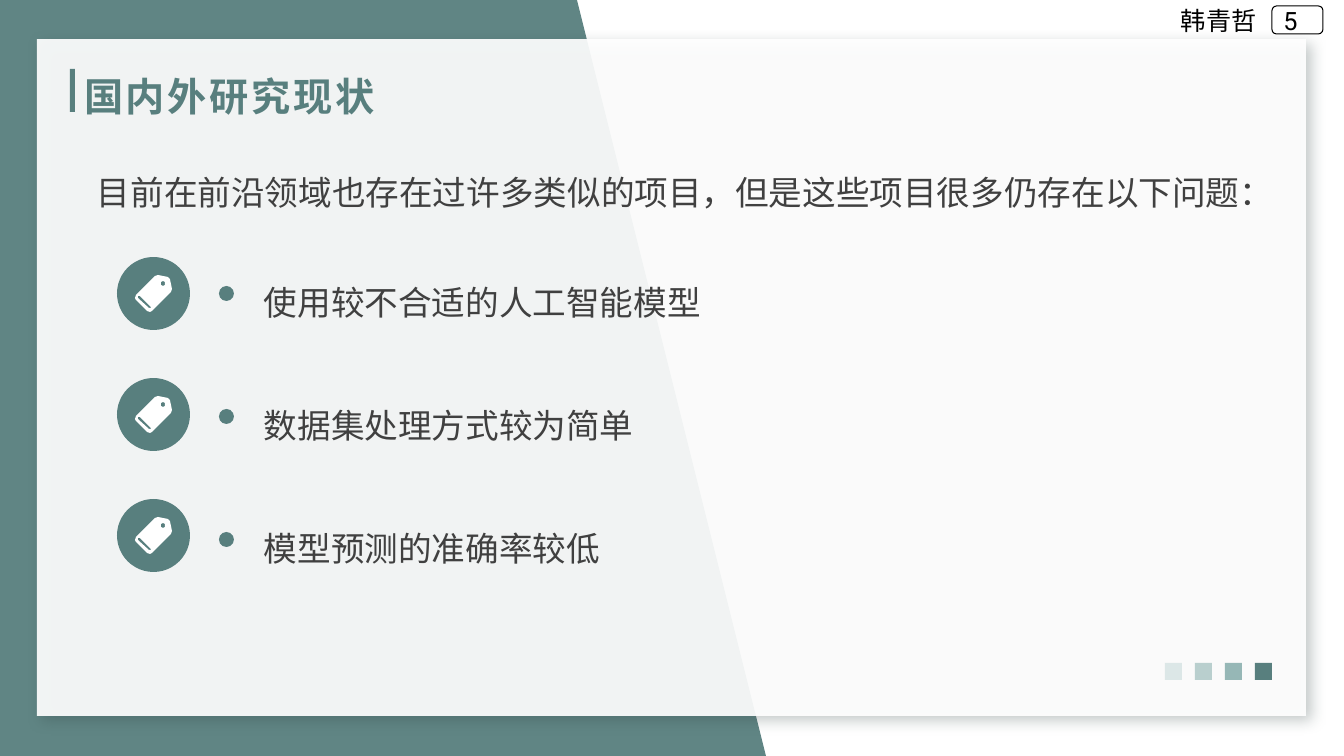
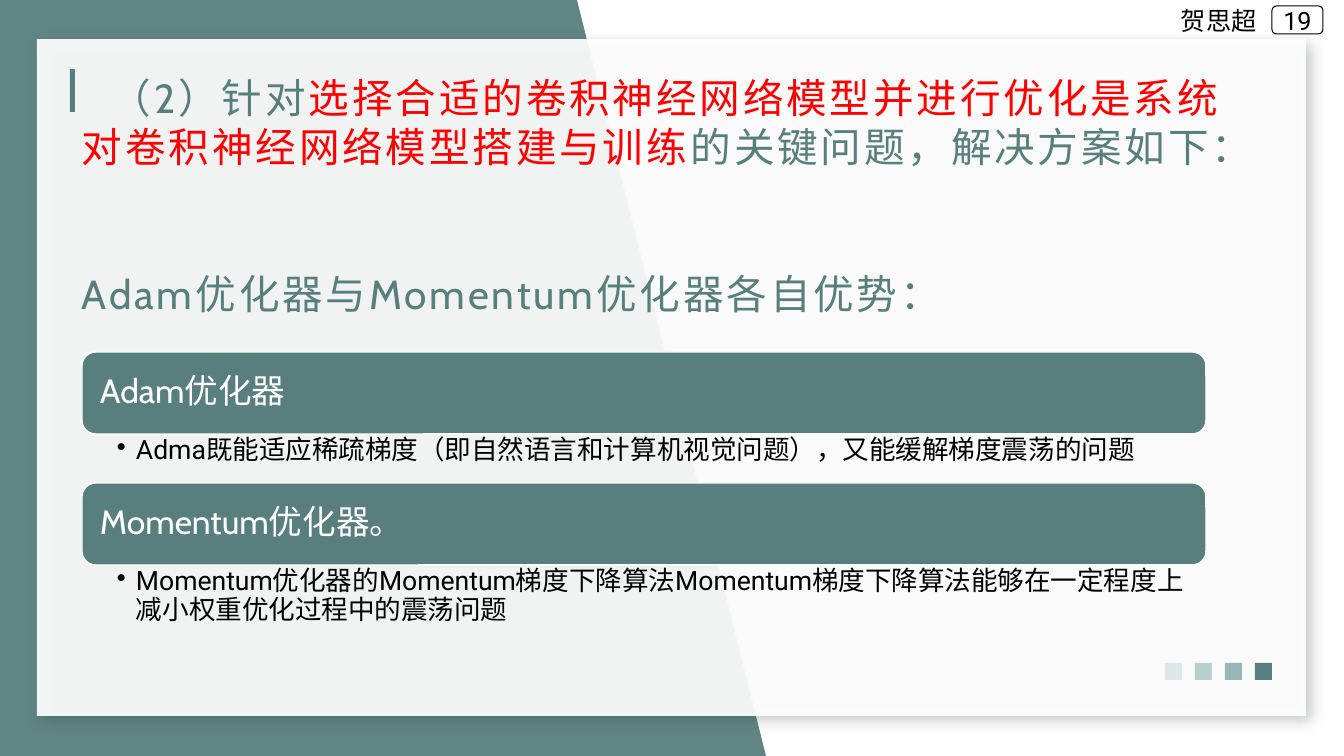
"""Build two slides of a research talk on a shared green and white layout."""
from lxml import etree
from pptx import Presentation
from pptx import util as u
from pptx.dml.color import RGBColor
from pptx.enum import lang, shapes, text
from pptx.oxml.ns import qn

PX = 914400 / 100.8
WIDTH, HEIGHT = 1344, 756
GREEN, WHITE, BLACK, GREY, RED = "587F7E", "FFFFFF", "000000", "404040", "FF0000"
SQUARES = ["DCE7E7", "B9CFCE", "96B7B6", GREEN]
RECT = shapes.MSO_SHAPE.RECTANGLE
ROUND = shapes.MSO_SHAPE.ROUNDED_RECTANGLE
OVAL = shapes.MSO_SHAPE.OVAL

TITLE = {"name": "Cabin", "size": u.Pt(29), "bold": False}
TITLE_BOLD = {"name": "Cabin", "size": u.Pt(28), "bold": True}
BAND = {"name": "Cabin", "size": u.Pt(24)}
BODY = {"name": "Lato", "size": u.Pt(24)}
DETAIL = {"name": "Roboto", "size": u.Pt(19)}
HEADER = {"name": "Roboto", "size": u.Pt(18)}

TAG_OUTLINE = [(37, 14), (35, 4), (33, 2), (23, 0), (20, 1), (1, 20), (0, 23),
               (1, 25), (12, 36), (15, 37), (17, 36), (36, 17)]
TAG_SLOT = [(16, 33), (14, 33), (3, 23), (3, 21), (5, 21), (16, 32)]
TAG_EYE = [(30, 10), (28, 11), (26, 10), (26, 7), (28, 6), (30, 7)]


def px(length):
    """Turn px into EMU."""
    return u.Emu(round(length * PX))


def color(value):
    """Turn a hex string into a colour."""
    return RGBColor.from_string(value)


def apply(target, values):
    """Set each named attribute of the target."""
    for name, value in values.items():
        setattr(target, name, value)


def paint(shape, fill, alpha=None, line=None, weight=1):
    """Give a shape a flat fill, an optional outline and no shadow."""
    shape.shadow.inherit = False
    shape.fill.solid()
    shape.fill.fore_color.rgb = color(fill)
    if alpha:
        tone = shape.element.spPr.find(qn("a:solidFill"))[0]
        etree.SubElement(tone, qn("a:alpha"), val=str(alpha * 1000))
    if line:
        shape.line.color.rgb = color(line)
        shape.line.width = u.Pt(weight)
    else:
        shape.line.fill.background()
    return shape


def block(page, kind, box, fill, **look):
    """Add a painted preset shape in a px box."""
    return paint(page.shapes.add_shape(kind, *map(px, box)), fill, **look)


def outline(page, left, top, contours, fill, **look):
    """Add a painted polygon made of one or more contours."""
    first, *others = contours
    builder = page.shapes.build_freeform(*first[0], scale=PX)
    builder.add_line_segments(first[1:], close=True)
    for contour in others:
        builder.move_to(*contour[0])
        builder.add_line_segments(contour[1:], close=True)
    return paint(builder.convert_to_shape(px(left), px(top)), fill, **look)


def set_frame(shape, insets, anchor="TOP"):
    """Set the insets, anchor and wrapping of a shape's text."""
    sides = ("margin_left", "margin_top", "margin_right", "margin_bottom")
    frame = shape.text_frame
    apply(frame, dict(zip(sides, map(px, insets))))
    apply(frame, {"word_wrap": True, "auto_size": text.MSO_AUTO_SIZE.NONE,
                  "vertical_anchor": getattr(text.MSO_ANCHOR, anchor)})
    return frame


def write(para, runs, font, spacing=None, **layout):
    """Fill a left-aligned paragraph with (words, colour) runs."""
    apply(para, {"alignment": text.PP_ALIGN.LEFT, **layout})
    for words, tone in runs:
        span = para.add_run()
        span.text = words
        apply(span.font, {"language_id": lang.MSO_LANGUAGE_ID.SIMPLIFIED_CHINESE, **font})
        span.font.color.rgb = color(tone)
        if spacing:
            span.font._element.set("spc", str(spacing * 100))


def indent(para, left, first, bullet=None):
    """Set the indents of a paragraph and its bullet."""
    props = para._p.get_or_add_pPr()
    props.set("marL", str(px(left)))
    props.set("indent", str(px(first)))
    if bullet:
        etree.SubElement(props, qn("a:buChar"), char=bullet)


def label(page, box, words, font, tone, insets=(10, 5, 10, 5), **layout):
    """Add a text box holding one paragraph."""
    shape = page.shapes.add_textbox(*map(px, box))
    write(set_frame(shape, insets).paragraphs[0], [(words, tone)], font, **layout)


def title_frame(page, box, anchor="TOP"):
    """Place the title placeholder and return its text frame."""
    title = page.shapes.title
    apply(title, dict(zip(("left", "top", "width", "height"), map(px, box))))
    return set_frame(title, (10, 5, 10, 5), anchor)


def panel(page, box):
    """Draw the translucent panel with its soft shadow and corner squares."""
    left, top, width, height = box
    card = block(page, RECT, box, WHITE, alpha=92)
    shadow = etree.SubElement(
        card.element.spPr.find(qn("a:effectLst")), qn("a:outerShdw"),
        blurRad=str(u.Pt(10)), dist=str(u.Pt(6)), dir="2700000", algn="tl", rotWithShape="0")
    tone = etree.SubElement(shadow, qn("a:srgbClr"), val="2C403F")
    etree.SubElement(tone, qn("a:alpha"), val="30000")
    for index, fill in enumerate(SQUARES):
        block(page, RECT, (left + width - 141 + 30 * index, top + height - 53, 17, 17), fill)
    block(page, RECT, (left + 33, top + 30, 5, 43), GREEN)


def fill_layout(deck, layout):
    """Put the shared backdrop on the layout."""
    page = deck.slides[0]
    kept = len(page.shapes)
    outline(page, 0, 0, [[(0, 0), (577, 0), (766, HEIGHT), (0, HEIGHT)]], GREEN, alpha=95)
    panel(page, (37, 39, 1269, 677))
    for shape in list(page.shapes)[kept:]:
        layout.shapes.element.append(shape.element)


def header(page, speaker, number):
    """Write the speaker and the page number at the top right."""
    label(page, (1171, 0, 100, 40), speaker, HEADER, BLACK)
    badge = block(page, ROUND, (1272, 6, 51, 28), WHITE, line=BLACK, weight=0.75)
    frame = set_frame(badge, (10, 0, 0, 0), "MIDDLE")
    write(frame.paragraphs[0], [(number, BLACK)], HEADER)


def tag_icon(page, left, top):
    """Draw a white tag on a green disc."""
    block(page, OVAL, (left, top, 73, 73), GREEN)
    outline(page, left + 18, top + 18, [TAG_OUTLINE, TAG_SLOT, TAG_EYE], WHITE)


def point(page, left, top, words):
    """Draw a round bullet and its sentence."""
    block(page, OVAL, (left, top + 16, 15, 15), GREEN)
    label(page, (left + 45, top, 991, 48), words, BODY, GREY,
          insets=(0, 0, 0, 0), line_spacing=1.3)


def optimizer(page, left, top, name, detail):
    """Draw a heading band with a bulleted detail below."""
    band = block(page, ROUND, (left, top, 1124, 82), GREEN, line=WHITE)
    frame = set_frame(band, (14, 10, 14, 10), "MIDDLE")
    write(frame.paragraphs[0], [(name, WHITE)], BAND, line_spacing=0.9)
    shape = page.shapes.add_textbox(*map(px, (left, top + 82, 1124, 50)))
    para = set_frame(shape, (35, 3, 19, 3)).paragraphs[0]
    indent(para, 19, -19, "•")
    write(para, [(detail, BLACK)], DETAIL, line_spacing=0.9)


def research_slide(page):
    """Fill the slide on the state of research."""
    frame = title_frame(page, (74, 72, 530, 48), "MIDDLE")
    write(frame.paragraphs[0], [("国内外研究现状", GREEN)], TITLE_BOLD, spacing=2)
    label(page, (87, 167, 1171, 82),
          "目前在前沿领域也存在过许多类似的项目，但是这些项目很多仍存在以下问题：", BODY, GREY)
    problems = ["使用较不合适的人工智能模型", "数据集处理方式较为简单", "模型预测的准确率较低"]
    for index, words in enumerate(problems):
        tag_icon(page, 117, 257 + 121 * index)
        point(page, 219, 270 + 123 * index, words)
    header(page, "韩青哲", "5")


def solution_slide(page):
    """Fill the slide on the two optimizers."""
    frame = title_frame(page, (72, 68, 1187, 609))
    question = frame.paragraphs[0]
    indent(question, 0, 29)
    write(question, [
        ("（2）针对", GREEN),
        ("选择合适的卷积神经网络模型并进行优化是系统对卷积神经网络模型搭建与训练", RED),
        ("的关键问题，解决方案如下：", GREEN)], TITLE, spacing=2)
    write(frame.add_paragraph(), [("Adam优化器与Momentum优化器各自优势：", GREEN)],
          TITLE, spacing=2, space_before=u.Pt(70))
    optimizers = [
        ("Adam优化器", "Adma既能适应稀疏梯度（即自然语言和计算机视觉问题），又能缓解梯度震荡的问题"),
        ("Momentum优化器。", "Momentum优化器的Momentum梯度下降算法Momentum梯度下降算法"
                          "能够在一定程度上减小权重优化过程中的震荡问题")]
    for index, (name, detail) in enumerate(optimizers):
        optimizer(page, 82, 352 + 131 * index, name, detail)
    header(page, "贺思超", "19")


def main():
    """Build and save the deck."""
    deck = Presentation()
    deck.slide_width, deck.slide_height = px(WIDTH), px(HEIGHT)
    layout = deck.slide_layouts[5]
    pages = [deck.slides.add_slide(layout) for _ in range(2)]
    fill_layout(deck, layout)
    research_slide(pages[0])
    solution_slide(pages[1])
    deck.save("out.pptx")


if __name__ == "__main__":
    main()
